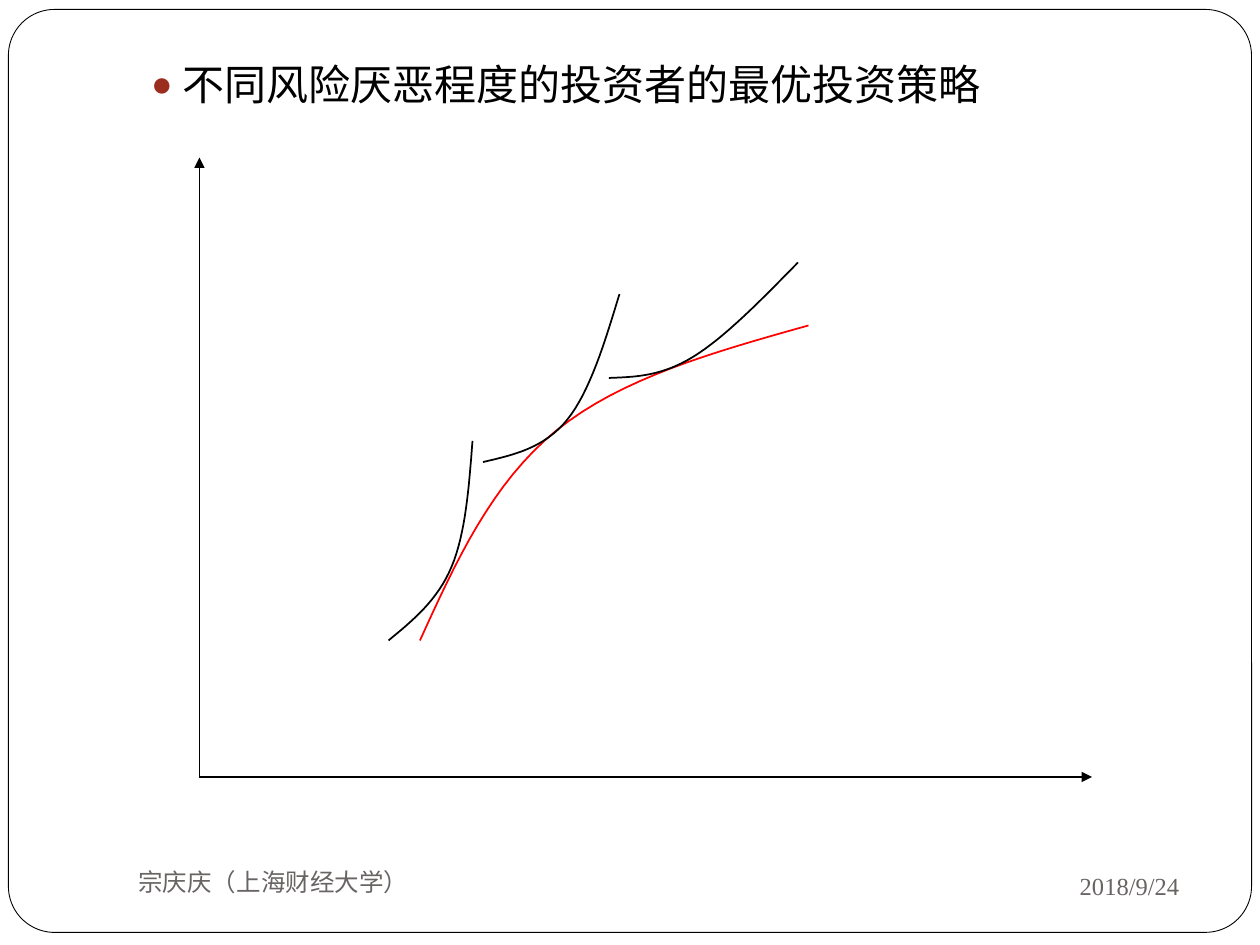
from lxml.etree import SubElement
from pptx import Presentation
from pptx.dml.color import RGBColor
from pptx.enum.shapes import MSO_CONNECTOR, MSO_SHAPE
from pptx.enum.text import MSO_ANCHOR, PP_ALIGN
from pptx.oxml.ns import qn
from pptx.util import Pt

PX = 7620
STEPS = 16
WHITE = RGBColor(0xFF, 0xFF, 0xFF)
BLACK = RGBColor(0x00, 0x00, 0x00)
RED = RGBColor(0xFF, 0x00, 0x00)
GREY = RGBColor(0x69, 0x64, 0x64)
RUST = "9B2D1F"
CURVES = [
    (RED, (580, 160), (340, 260), (210, 460)),
    (BLACK, (260, 270), (240, 390), (180, 460)),
    (BLACK, (400, 130), (350, 250), (270, 290)),
    (BLACK, (570, 100), (470, 190), (390, 210)),
]


def scale(*nums):
    """Turn px into EMU."""
    return [round(num * PX) for num in nums]


def stroke(shape, color, width):
    """Give a shape its line."""
    shape.line.color.rgb = color
    shape.line.width = Pt(width)


def style(para, size, face, color):
    """Set the font of a paragraph."""
    font = para.font
    font.size, font.name = Pt(size), face
    font.color.rgb = color


def frame(slide, box):
    """Draw the rounded border of the page."""
    shape = slide.shapes.add_shape(MSO_SHAPE.ROUNDED_RECTANGLE, *scale(*box))
    shape.adjustments[0] = 0.05
    shape.shadow.inherit = False
    shape.fill.solid()
    shape.fill.fore_color.rgb = WHITE
    stroke(shape, BLACK, 0.5)


def body(slide, holder, box, text):
    """Place the bulleted line in the body placeholder."""
    holder.left, holder.top, holder.width, holder.height = scale(*box)
    slide.shapes._spTree.append(holder._element)
    para = holder.text_frame.paragraphs[0]
    para.text = text
    para.level = 1
    para.space_before = Pt(0)
    props = para._p.get_or_add_pPr()
    left, indent = scale(72, -30)
    props.set("marL", str(left))
    props.set("indent", str(indent))
    SubElement(SubElement(props, qn("a:buClr")), qn("a:srgbClr"), val=RUST)
    SubElement(props, qn("a:buSzPct"), val="85000")
    SubElement(props, qn("a:buChar"), char="●")
    style(para, 24, "Noto Sans CJK SC", BLACK)
    SubElement(props.find(qn("a:defRPr")), qn("a:ea"), typeface="Noto Sans CJK SC")


def axis(slide, start, end):
    """Draw an axis with an arrowhead at its end."""
    line = slide.shapes.add_connector(MSO_CONNECTOR.STRAIGHT, *scale(*start, *end))
    stroke(line, BLACK, 1)
    SubElement(line.line._get_or_add_ln(), qn("a:tailEnd"), type="triangle")
    SubElement(line._element.spPr, qn("a:effectLst"))


def cubic(a, b, c, d):
    """List the points of a Bezier segment after its start."""
    steps = [i / STEPS for i in range(1, STEPS + 1)]
    return [
        tuple(
            (1 - t) ** 3 * p + 3 * (1 - t) ** 2 * t * q + 3 * (1 - t) * t * t * r + t ** 3 * s
            for p, q, r, s in zip(a, b, c, d)
        )
        for t in steps
    ]


def mid(a, b):
    """Find the point halfway between two points."""
    return tuple((p + q) / 2 for p, q in zip(a, b))


def curve(slide, color, first, knot, last):
    """Draw a smooth curve through three points."""
    slope = [(q - p) / 6 for p, q in zip(first, last)]
    before = tuple(k - s for k, s in zip(knot, slope))
    after = tuple(k + s for k, s in zip(knot, slope))
    points = cubic(first, mid(first, before), before, knot)
    points += cubic(knot, after, mid(after, last), last)
    path = slide.shapes.build_freeform(*scale(*first))
    path.add_line_segments([scale(*point) for point in points], close=False)
    shape = path.convert_to_shape()
    shape.shadow.inherit = False
    shape.fill.background()
    stroke(shape, color, 1)


def plot(slide, box):
    """Draw the axes, the frontier and the tangent curves."""
    left, top, width, height = box
    base = top + height
    axis(slide, (left, base), (left + width, base))
    axis(slide, (left, base), (left, top))
    for color, *knots in CURVES:
        curve(slide, color, *[(left + x, top + y) for x, y in knots])


def note(slide, box, text, align):
    """Write one text of the foot line."""
    frame = slide.shapes.add_textbox(*scale(*box)).text_frame
    frame.word_wrap = True
    frame.vertical_anchor = MSO_ANCHOR.MIDDLE
    para = frame.paragraphs[0]
    para.text = text
    para.alignment = align
    style(para, 14, "Times New Roman", GREY)


def main():
    """Build the slide and save it."""
    deck = Presentation()
    deck.slide_width, deck.slide_height = scale(1200, 900)
    slide = deck.slides.add_slide(deck.slide_layouts[1])
    title = slide.shapes.title._element
    title.getparent().remove(title)
    holder = slide.placeholders[1]
    frame(slide, (8, 9, 1184, 879))
    body(slide, holder, (90, 50, 1020, 760), "不同风险厌恶程度的投资者的最优投资策略")
    plot(slide, (190, 150, 850, 590))
    note(slide, (810, 813, 325, 62), "2018/9/24", PP_ALIGN.RIGHT)
    note(slide, (120, 810, 520, 60), "宗庆庆（上海财经大学）", PP_ALIGN.LEFT)
    deck.save("out.pptx")


if __name__ == "__main__":
    main()
